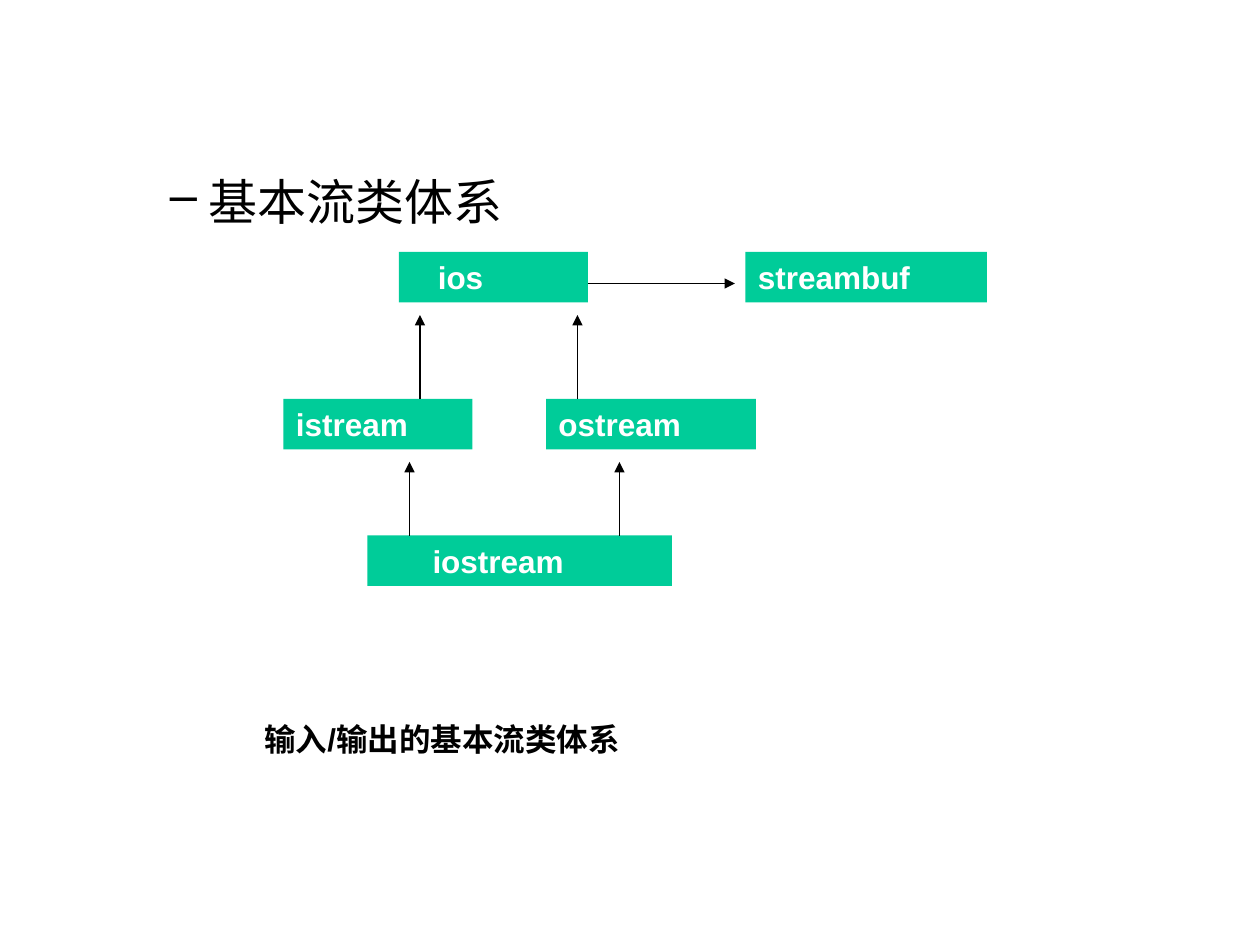
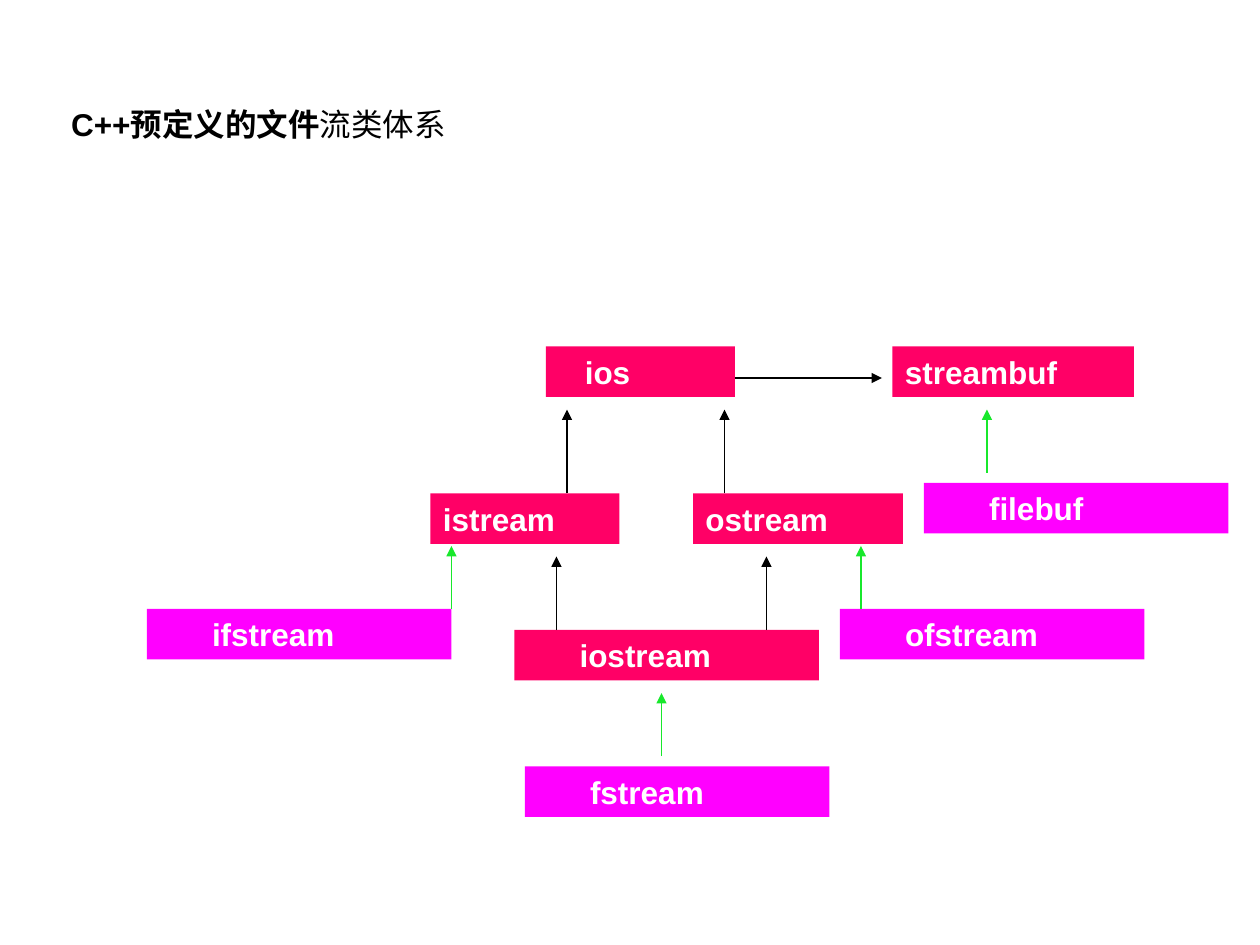
"""Build two class hierarchy slides for the C++ stream library."""
from dataclasses import dataclass

import lxml.etree
import pptx
import pptx.dml.color
import pptx.enum.shapes
import pptx.enum.text
import pptx.oxml.ns
import pptx.util


@dataclass(frozen=True)
class Theme:
    ink: str = "000000"
    label: str = "FFFFFF"
    basic: str = "00CC99"
    predefined: str = "FF0066"
    file: str = "FF00FF"
    file_arrow: str = "18E82C"
    font: str = "Arial"
    bullet_font: str = "Calibri"
    cjk_font: str = "Noto Sans CJK SC"
    body_size: int = 18
    bullet_size: int = 28
    line_width: float = 0.75


THEME = Theme()
PX = 914400 // 120
SLIDE_SIZE = (1200, 900)
BOX_HEIGHT = 48
INSET = 12
WIDE = 290

BULLET = ("基本流类体系", (90, 157, 1070, 514))
BULLET_MARGIN, BULLET_HANG = 97, 37
CAPTION = ([("输入/输出的基本流类体系", THEME.font, True)], (240, 680, 540))
HEADING = (
    [
        ("C++", THEME.font, True),
        ("预定义的", THEME.cjk_font, True),
        ("文件", THEME.font, True),
        ("流类体系", THEME.font, False),
    ],
    (56, 94, 610),
)

# name, left, top, width, text indent
STREAM_CLASSES = [
    ("ios", 380, 240, 180, 25),
    ("streambuf", 710, 240, 230, 0),
    ("istream", 270, 380, 180, 0),
    ("ostream", 520, 380, 200, 0),
    ("iostream", 350, 510, WIDE, 50),
]
STREAM_ARROWS = [
    (390, 510, 390, 440),
    (590, 510, 590, 440),
    (400, 380, 400, 300),
    (550, 380, 550, 300),
    (560, 270, 700, 270),
]
FILE_CLASSES = [
    ("ifstream", 140, 580, WIDE, 50),
    ("ofstream", 800, 580, WIDE, 50),
    ("fstream", 500, 730, WIDE, 50),
    ("filebuf", 880, 460, WIDE, 50),
]
FILE_ARROW_STARTS = [(820, 580), (430, 580), (940, 450), (630, 720)]
FILE_ARROW_LENGTH = 60
FILE_ARROWS = [(x, y, x, y - FILE_ARROW_LENGTH) for x, y in FILE_ARROW_STARTS]
FILE_SLIDE_OFFSET = (140, 90)


def emu(*lengths):
    return [pptx.util.Emu(n * PX) for n in lengths]


def rgb(color):
    return pptx.dml.color.RGBColor.from_string(color)


def add_child(parent, tag, **attributes):
    return lxml.etree.SubElement(parent, pptx.oxml.ns.qn(tag), attributes)


def style_run(r, color, font=THEME.font, bold=True, size=THEME.body_size):
    r.font.name = font
    r.font.size = pptx.util.Pt(size)
    r.font.bold = bold
    r.font.color.rgb = rgb(color)


def prepare_frame(tf, indent=0):
    tf.word_wrap = True
    tf.margin_left, = emu(INSET + indent)
    tf.vertical_anchor = pptx.enum.text.MSO_ANCHOR.TOP
    tf.paragraphs[0].alignment = pptx.enum.text.PP_ALIGN.LEFT


def add_class_box(s, name, x, y, width, indent, fill):
    rectangle = pptx.enum.shapes.MSO_SHAPE.RECTANGLE
    sp = s.shapes.add_shape(rectangle, *emu(x, y, width, BOX_HEIGHT))
    sp.shadow.inherit = False
    sp.fill.solid()
    sp.fill.fore_color.rgb = rgb(fill)
    sp.line.fill.background()
    tf = sp.text_frame
    tf.text = name
    prepare_frame(tf, indent)
    style_run(tf.paragraphs[0].runs[0], THEME.label)


def add_arrow(s, x1, y1, x2, y2, color):
    straight = pptx.enum.shapes.MSO_CONNECTOR.STRAIGHT
    c = s.shapes.add_connector(straight, *emu(x1, y1, x2, y2))
    c.line.width = pptx.util.Pt(THEME.line_width)
    c.line.color.rgb = rgb(color)
    properties = c.element.spPr
    add_child(properties.find(pptx.oxml.ns.qn("a:ln")), "a:tailEnd", type="triangle")
    add_child(properties, "a:effectLst")


def add_hierarchy(s, classes, arrows, fill, arrow_color=THEME.ink, offset=(0, 0)):
    dx, dy = offset
    for name, x, y, width, indent in classes:
        add_class_box(s, name, x + dx, y + dy, width, indent, fill)
    for x1, y1, x2, y2 in arrows:
        add_arrow(s, x1 + dx, y1 + dy, x2 + dx, y2 + dy, arrow_color)


def add_text_line(s, runs, place):
    tf = s.shapes.add_textbox(*emu(*place, BOX_HEIGHT)).text_frame
    prepare_frame(tf)
    for text, font, bold in runs:
        r = tf.paragraphs[0].add_run()
        r.text = text
        style_run(r, THEME.ink, font, bold)


def add_bullet(s, text, place):
    tf = s.shapes.add_textbox(*emu(*place)).text_frame
    tf.text = text
    prepare_frame(tf)
    p = tf.paragraphs[0]
    p.level = 1
    properties = p._p.get_or_add_pPr()
    properties.set("marL", str(BULLET_MARGIN * PX))
    properties.set("indent", str(-BULLET_HANG * PX))
    add_child(add_child(properties, "a:buClr"), "a:srgbClr", val=THEME.ink)
    add_child(properties, "a:buChar", char="–")
    style_run(p.runs[0], THEME.ink, THEME.bullet_font, False, THEME.bullet_size)


def main():
    prs = pptx.Presentation()
    prs.slide_width, prs.slide_height = emu(*SLIDE_SIZE)
    blank = prs.slide_layouts[6]

    s = prs.slides.add_slide(blank)
    add_bullet(s, *BULLET)
    add_hierarchy(s, STREAM_CLASSES, STREAM_ARROWS, THEME.basic)
    add_text_line(s, *CAPTION)

    s = prs.slides.add_slide(blank)
    add_hierarchy(s, STREAM_CLASSES, STREAM_ARROWS, THEME.predefined,
                  offset=FILE_SLIDE_OFFSET)
    add_hierarchy(s, FILE_CLASSES, FILE_ARROWS, THEME.file, THEME.file_arrow)
    add_text_line(s, *HEADING)

    prs.save("out.pptx")


if __name__ == "__main__":
    main()
